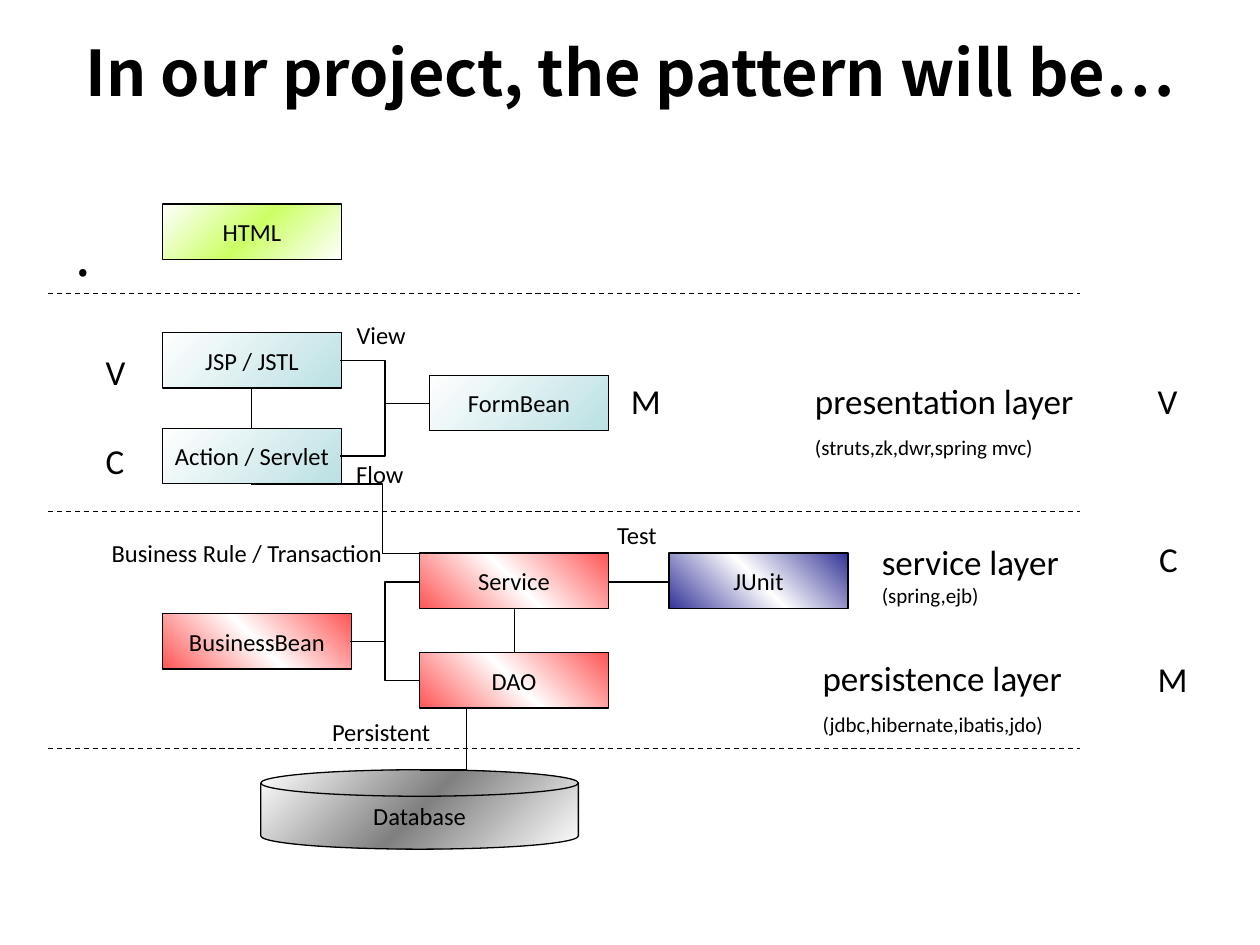
"""Build the slide that shows the layers of the project pattern."""
from copy import deepcopy
from pptx import Presentation, util as u
from pptx.dml.color import RGBColor
from pptx.enum import dml, shapes, text
from pptx.oxml import ns, parse_xml

HUES = {"ink": "000000", "white": "FFFFFF", "teal": "BBE0E3", "red": "FF5555",
        "grey": "808080", "blue": "333399", "lime": "CCFF66"}
FADES = {"view": (45, "white", "teal"), "core": (315, "red", "white", "red"),
         "test": (315, "blue", "white", "blue"), "page": (45, "white", "lime", "white"),
         "store": (45, "white", "grey", "white")}
INK = RGBColor.from_string(HUES["ink"])
MID, TOP = text.MSO_ANCHOR.MIDDLE, text.MSO_ANCHOR.TOP
MORE = text.PP_ALIGN.CENTER
LEFT = text.PP_ALIGN.LEFT
KINDS = shapes.MSO_SHAPE
LINKS = shapes.MSO_CONNECTOR

deck = Presentation()
deck.slide_width, deck.slide_height = u.Inches(10), u.Inches(7.5)
slide = deck.slides.add_slide(deck.slide_layouts[6])


def write(shape, lines, align, anchor=TOP, name="Calibri", bold=False, gap=0, **pads):
    """Fill a shape with (words, size) lines."""
    frame = shape.text_frame
    side = 0.1 if align == LEFT else 0
    sides = {"left": side, "right": 0, "top": 0.05, "bottom": 0.05, **pads}
    for key, pad in sides.items():
        setattr(frame, f"margin_{key}", u.Inches(pad))
    frame.word_wrap, frame.vertical_anchor = True, anchor
    for row, (words, size) in enumerate(lines):
        para = frame.add_paragraph() if row else frame.paragraphs[0]
        para.alignment = align
        para.space_before = u.Pt(gap if row else 0)
        run = para.add_run()
        run.text = words
        form = {"name": name, "size": u.Pt(size), "bold": bold}
        for key, val in form.items():
            setattr(run.font, key, val)
        run.font.color.rgb = INK


def link(kind, ends, dash=None):
    """Draw a thin black connector."""
    line = slide.shapes.add_connector(kind, *map(u.Inches, ends))
    line.line.color.rgb = INK
    line.line.width = u.Pt(0.75)
    line.line.dash_style = dash
    line._element.spPr.append(parse_xml(f"<a:effectLst {ns.nsdecls('a')}/>"))


head = slide.shapes.add_textbox(*map(u.Inches, (0.5, 0.3, 9, 1.25)))
write(head, [("In our project, the pattern will be…", 36)], MORE, MID,
      "Noto Sans CJK SC", True, bottom=0.72, top=0)
body = slide.shapes.add_textbox(*map(u.Inches, (0.5, 1.75, 9, 4.95)))
write(body, [(".", 32)], LEFT, name="Noto Sans CJK SC", top=0)

boxes = [
    ("JSP / JSTL", "view", 1.29, 2.64, 1.42),
    ("Action / Servlet", "view", 1.29, 3.4, 1.42),
    ("FormBean", "view", 3.41, 2.98, 1.42),
    ("Service", "core", 3.33, 4.39, 1.5),
    ("DAO", "core", 3.33, 5.18, 1.5),
    ("Database", "store", 2.07, 6.11, 2.52),
    ("BusinessBean", "core", 1.29, 4.87, 1.5),
    ("JUnit", "test", 5.31, 4.39, 1.42),
    ("HTML", "page", 1.29, 1.62, 1.42),
]
for words, fade, left, top, wide in boxes:
    disk = fade == "store"
    kind = KINDS.FLOWCHART_MAGNETIC_DISK if disk else KINDS.RECTANGLE
    spot = (left, top, wide, 0.63 if disk else 0.44)
    box = slide.shapes.add_shape(kind, *map(u.Inches, spot))
    box.shadow.inherit = False
    box.line.color.rgb = INK
    box.line.width = u.Pt(0.75)
    turn, *tones = FADES[fade]
    box.fill.gradient()
    box.fill.gradient_angle = 360 - turn
    stops = box._element.spPr.find(".//" + ns.qn("a:gsLst"))
    if len(tones) == 3:
        stops.append(deepcopy(stops[0]))
    for step, (stop, tone) in enumerate(zip(box.fill.gradient_stops, tones)):
        stop.position = step / (len(tones) - 1)
        stop.color.rgb = RGBColor.from_string(HUES[tone])
    write(box, [(words, 14)], MORE, MID)

bends = [
    (1.99, 3.08, 2, 3.4), (1.99, 3.84, 4.08, 4.39), (4.08, 4.84, 4.09, 5.18),
    (4.08, 5.62, 3.33, 6.11), (2.7, 2.86, 3.41, 3.2), (2.7, 3.62, 3.41, 3.2),
    (2.78, 5.09, 3.33, 4.62), (2.78, 5.09, 3.33, 5.4), (5.31, 4.62, 4.83, 4.62),
]
for ends in bends:
    link(LINKS.ELBOW, ends)
for y in (2.33, 4.06, 5.94):
    link(LINKS.STRAIGHT, (0.38, y, 8.57, y), dml.MSO_LINE.DASH)

notes = [
    ("View", 2.23, 2.49, 1.59), ("Flow", 2.23, 3.59, 1.57),
    ("Business Rule / Transaction", 0.28, 4.22, 3.36),
    ("Persistent", 2.03, 5.64, 1.99), ("Test", 4.29, 4.08, 1.53),
]
for words, left, top, wide in notes:
    note = slide.shapes.add_textbox(*map(u.Inches, (left, top, wide, 0.34)))
    write(note, [(words, 14)], MORE)

tiers = [
    ("persistence layer", "(jdbc,hibernate,ibatis,jdo)", 6.43, 5.16, 3.11, 0.74, 7.5),
    ("presentation layer", "(struts,zk,dwr,spring mvc)", 6.37, 2.96, 3.27, 0.74, 7.5),
    ("service layer", "(spring,ejb)", 6.9, 4.24, 1.61, 0.64, 0),
]
for words, tools, left, top, wide, high, gap in tiers:
    tier = slide.shapes.add_textbox(*map(u.Inches, (left, top, wide, high)))
    write(tier, [(words, 20), (tools, 12)], LEFT, gap=gap)

wides = {"M": 0.44, "V": 0.36, "C": 0.35}
marks = [("M", 4.91, 2.96), ("V", 0.74, 2.73), ("C", 0.74, 3.44),
         ("V", 9.09, 2.96), ("C", 9.1, 4.22), ("M", 9.09, 5.17)]
for sign, left, top in marks:
    mark = slide.shapes.add_textbox(*map(u.Inches, (left, top, wides[sign], 0.44)))
    write(mark, [(sign, 20)], LEFT)

deck.save("out.pptx")
